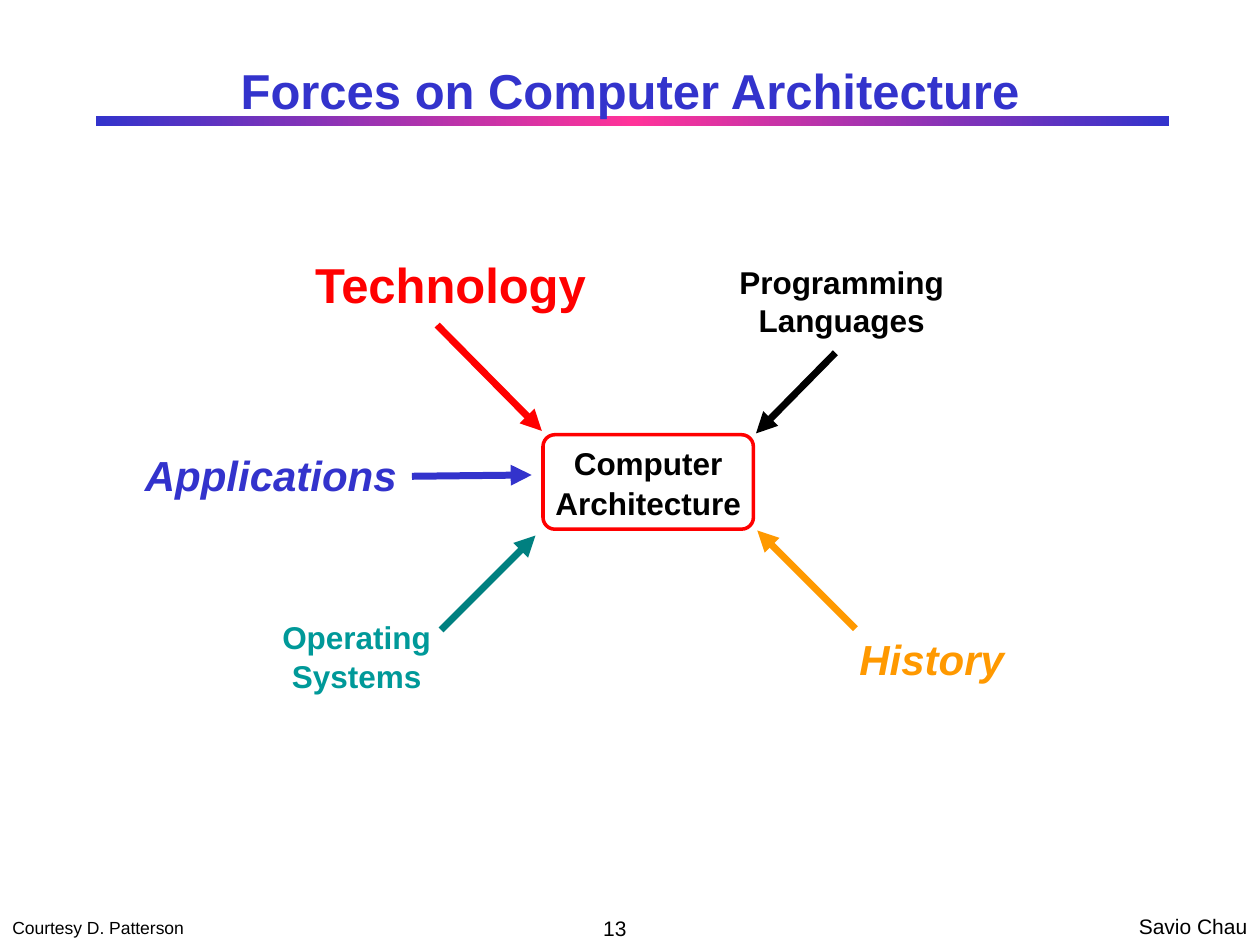
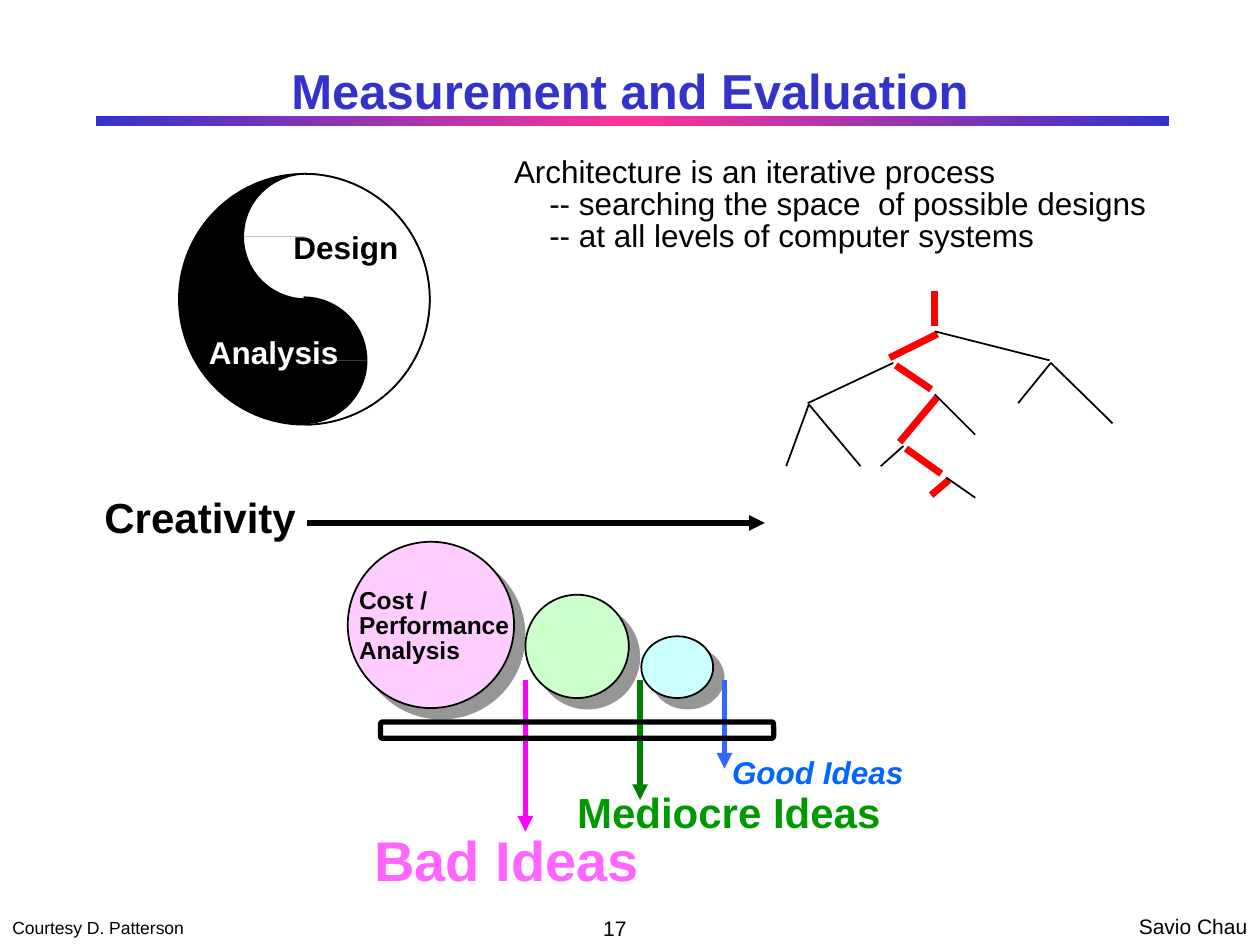
import copy
import lxml.etree
import pptx
import pptx.dml.color
import pptx.enum.shapes
import pptx.enum.text
import pptx.oxml.ns
import pptx.util

Inches = pptx.util.Inches
Pt = pptx.util.Pt
KIND = pptx.enum.shapes.MSO_SHAPE
ALIGN = pptx.enum.text.PP_ALIGN
MIDDLE = pptx.enum.text.MSO_ANCHOR.MIDDLE
qn = pptx.oxml.ns.qn

FONT = "Arial"
BLACK, WHITE, RED = "000000", "FFFFFF", "FF0000"
BLUE, PINK, ORANGE = "3333CC", "FF3399", "FF9900"
WIDE, TIGHT = (0.1, 0.05), (0.07, 0.03)


def tint(code):
    return pptx.dml.color.RGBColor.from_string(code)


def write(frame, lines, size, color, bold=False, italic=False, align=ALIGN.LEFT,
          pitch=None, inset=TIGHT, wrap=False, anchor=None):
    frame.auto_size = pptx.enum.text.MSO_AUTO_SIZE.NONE
    frame.word_wrap = wrap
    frame.margin_left = frame.margin_right = Inches(inset[0])
    frame.margin_top = frame.margin_bottom = Inches(inset[1])
    if anchor is not None:
        frame.vertical_anchor = anchor
    for i, line in enumerate(lines):
        para = frame.add_paragraph() if i else frame.paragraphs[0]
        para.alignment = align
        if pitch:
            para.line_spacing = pitch
        run = para.add_run()
        run.text = line
        font = run.font
        font.name, font.size = FONT, Pt(size)
        font.bold, font.italic = bold, italic
        font.color.rgb = tint(color)


def label(slide, box, lines, size, color, **style):
    area = slide.shapes.add_textbox(*map(Inches, box))
    write(area.text_frame, lines, size, color, **style)
    return area


def paint(shape, fill, line=None, width=1):
    shape.shadow.inherit = False
    if fill:
        shape.fill.solid()
        shape.fill.fore_color.rgb = tint(fill)
    else:
        shape.fill.background()
    if line:
        shape.line.color.rgb = tint(line)
        shape.line.width = Pt(width)
    else:
        shape.line.fill.background()


def form(slide, kind, box, fill=None, line=BLACK, width=1):
    shape = slide.shapes.add_shape(kind, *map(Inches, box))
    paint(shape, fill, line, width)
    return shape


def link(slide, start, end, color, width, head=False):
    line = slide.shapes.add_connector(
        pptx.enum.shapes.MSO_CONNECTOR.STRAIGHT, *map(Inches, (*start, *end)))
    line.line.color.rgb = tint(color)
    line.line.width = Pt(width)
    if head:
        lxml.etree.SubElement(line.line._get_or_add_ln(), qn("a:tailEnd"), type="triangle")
    lxml.etree.SubElement(line._element.spPr, qn("a:effectLst"))


def band(slide, box):
    bar = form(slide, KIND.RECTANGLE, box, BLUE, None)
    bar.fill.gradient()
    bar.fill.gradient_angle = 0
    stops = bar._element.xpath(".//a:gsLst")[0]
    stops.append(copy.deepcopy(stops[0]))
    for stop, color, place in zip(bar.fill.gradient_stops, (BLUE, PINK, BLUE), (0, 0.5, 1)):
        stop.color.rgb = tint(color)
        stop.position = place
    slide.shapes.title._element.addprevious(bar._element)


def footer(slide, top, number):
    label(slide, (8.94, top, 1.06, 0.3), ["Savio Chau"], 12, BLACK, inset=WIDE)
    label(slide, (0, top + 0.03, 1.56, 0.27), ["Courtesy D. Patterson"], 10, BLACK, inset=WIDE)
    label(slide, (3.84, top + 0.04, 2.08, 0.26), [number], 12, BLACK, inset=WIDE,
          align=ALIGN.CENTER, wrap=True, anchor=MIDDLE)


def page(deck, title, number):
    slide = deck.slides.add_slide(deck.slide_layouts[5])
    band(slide, (0.76, 0.92, 8.52, 0.08))
    head = slide.shapes.title
    head.left, head.top, head.width, head.height = map(Inches, (0.75, 0.42, 8.5, 0.58))
    write(head.text_frame, [title], 28, BLUE, bold=True, align=ALIGN.CENTER,
          inset=WIDE, wrap=True, anchor=MIDDLE)
    footer(slide, 7.2, number)
    return slide


def forces(slide, x, y):
    def at(dx, dy):
        return x + dx, y + dy

    core = form(slide, KIND.ROUNDED_RECTANGLE, (*at(3.23, 1.47), 1.67, 0.75), None, RED, 2)
    core.adjustments[0] = 0.125
    write(core.text_frame, ["Computer", "Architecture"], 18, BLACK, bold=True,
          align=ALIGN.CENTER, pitch=1.06, anchor=MIDDLE)

    mid = ALIGN.CENTER
    names = [
        ((1.35, 0), (2.32, 0.53), ["Technology"], 28, RED, False, ALIGN.LEFT, 1.02),
        ((4.69, 0.07), (1.82, 0.67), ["Programming Languages"], 18, BLACK, False, mid, 1.02),
        ((1.06, 2.89), (1.38, 0.67), ["Operating Systems"], 18, "009999", False, mid, 1.02),
        ((5.67, 3.04), (1.29, 0.44), ["History"], 24, ORANGE, True, ALIGN.LEFT, 0.97),
        ((0, 1.55), (2.14, 0.46), ["Applications"], 24, BLUE, True, ALIGN.LEFT, 1.02),
    ]
    for spot, size, lines, points, color, italic, align, pitch in names:
        label(slide, (*at(*spot), *size), lines, points, color, bold=True, italic=italic,
              align=align, pitch=pitch, wrap=align == mid)

    arrows = [
        ((2.19, 1.8), (3.14, 1.79), BLUE),
        ((2.42, 3.02), (3.17, 2.27), "008080"),
        ((2.39, 0.6), (3.22, 1.44), RED),
        ((5.55, 0.82), (4.92, 1.46), BLACK),
        ((5.71, 3.01), (4.93, 2.23), ORANGE),
    ]
    for start, end, color in arrows:
        link(slide, at(*start), at(*end), color, 4, head=True)


def process(slide, box):
    area = label(slide, box, [
        "Architecture is an iterative process",
        "-- searching the space  of possible designs",
        "-- at all levels of computer systems"], 18, BLACK, pitch=0.85)
    for para in area.text_frame.paragraphs[1:]:
        para._p.get_or_add_pPr().set("marL", str(Inches(0.28)))


def tree(slide, x, y):
    path = [
        (1.18, 0, 1.18, 0.28), (1.2, 0.34, 0.82, 0.53), (0.87, 0.59, 1.15, 0.78),
        (1.2, 0.84, 0.9, 1.2), (0.95, 1.25, 1.23, 1.45), (1.29, 1.5, 1.15, 1.62),
    ]
    twigs = [
        (0.93, 1.23, 0.75, 1.39), (1.18, 0.82, 1.5, 1.14), (0.85, 0.57, 0.17, 0.89),
        (0.18, 0.9, 0.59, 1.39), (1.18, 0.32, 2.09, 0.55), (2.1, 0.57, 1.84, 0.89),
        (2.1, 0.57, 2.59, 1.05), (0.18, 0.9, 0, 1.39), (1.27, 1.48, 1.5, 1.64),
    ]
    for group, color, width in ((path, RED, 4), (twigs, BLACK, 1)):
        for ax, ay, bx, by in group:
            link(slide, (x + ax, y + ay), (x + bx, y + by), color, width)


def wedge(slide, box, start, fill):
    part = form(slide, KIND.ARC, box, fill)
    for i, turn in enumerate((start, (start + 90) % 360)):
        part.adjustments[i] = turn * 0.6


def yinyang(slide, x, y, size):
    half = size / 2
    whole = (x, y, size, size)
    upper = (x + 0.51, y, half, half)
    lower = (x + 0.49, y + 0.98, 1, 1)
    form(slide, KIND.OVAL, whole, BLACK)
    for box, turns, fill in ((upper, (180, 90), WHITE),
                             (whole, (270, 0), WHITE),
                             (lower, (0, 270), BLACK)):
        for start in turns:
            wedge(slide, box, start, fill)
    label(slide, (x + 0.81, y + 0.38, 1.03, 0.4), ["Design"], 18, BLACK, bold=True, inset=WIDE)
    label(slide, (x + 0.14, y + 1.21, 1.23, 0.4), ["Analysis"], 18, WHITE, bold=True, inset=WIDE)


def ball(slide, box, color):
    disc = form(slide, KIND.OVAL, box, color)
    glow = disc._element.spPr.find(qn("a:effectLst"))
    cast = lxml.etree.SubElement(glow, qn("a:outerShdw"), blurRad="0", dist=str(Pt(8.5)),
                                 dir="2700000", algn="ctr", rotWithShape="0")
    lxml.etree.SubElement(cast, qn("a:srgbClr"), val="969696")


def sieve(slide, x, y):
    for dx, dy, w, h, color in (
            (0, 0, 1.32, 1.32, "FFCCFF"),
            (1.41, 0.42, 0.82, 0.82, "CCFFCC"),
            (2.33, 0.75, 0.57, 0.49, "CCFFFF")):
        ball(slide, (x + dx, y + dy, w, h), color)
    for dx, drop, color in ((1.41, 1.2, "FF00FF"), (2.32, 0.95, "008000"), (2.99, 0.7, "3366FF")):
        link(slide, (x + dx, y + 1.1), (x + dx, y + 1.1 + drop), color, 3, head=True)
    tray = form(slide, KIND.ROUNDED_RECTANGLE, (x + 0.26, y + 1.43, 3.12, 0.13), width=3)
    tray.adjustments[0] = 0.125
    for dx, dy, w, h, text, size, color, italic, pitch in (
            (2.98, 1.66, 1.5, 0.35, "Good Ideas", 18, "0066FF", True, 0.97),
            (1.75, 1.97, 2.55, 0.4, "Mediocre Ideas", 24, "009900", False, 0.87),
            (0.14, 2.3, 2.24, 0.51, "Bad Ideas", 32, "FF66FF", False, 0.85)):
        label(slide, (x + dx, y + dy, w, h), [text], size, color, bold=True,
              italic=italic, pitch=pitch)
    label(slide, (x + 0.02, y + 0.35, 1.33, 0.65), ["Cost /", "Performance", "Analysis"],
          14, BLACK, bold=True, pitch=0.85)


def spark(slide, x, y):
    label(slide, (x, y, 1.72, 0.5), ["Creativity"], 24, BLACK, bold=True, inset=WIDE)
    link(slide, (x + 1.71, y + 0.3), (x + 5.34, y + 0.3), BLACK, 3, head=True)


def main():
    deck = pptx.Presentation()
    deck.slide_width, deck.slide_height = Inches(10), Inches(7.5)
    forces(page(deck, "Forces on Computer Architecture", "13"), 1.08, 1.98)
    slide = page(deck, "Measurement and Evaluation", "17")
    process(slide, (4.01, 1.22, 5.16, 0.82))
    tree(slide, 6.24, 2.31)
    yinyang(slide, 1.42, 1.38, 1.99)
    spark(slide, 0.73, 3.85)
    sieve(slide, 2.76, 4.3)
    deck.save("out.pptx")


if __name__ == "__main__":
    main()
